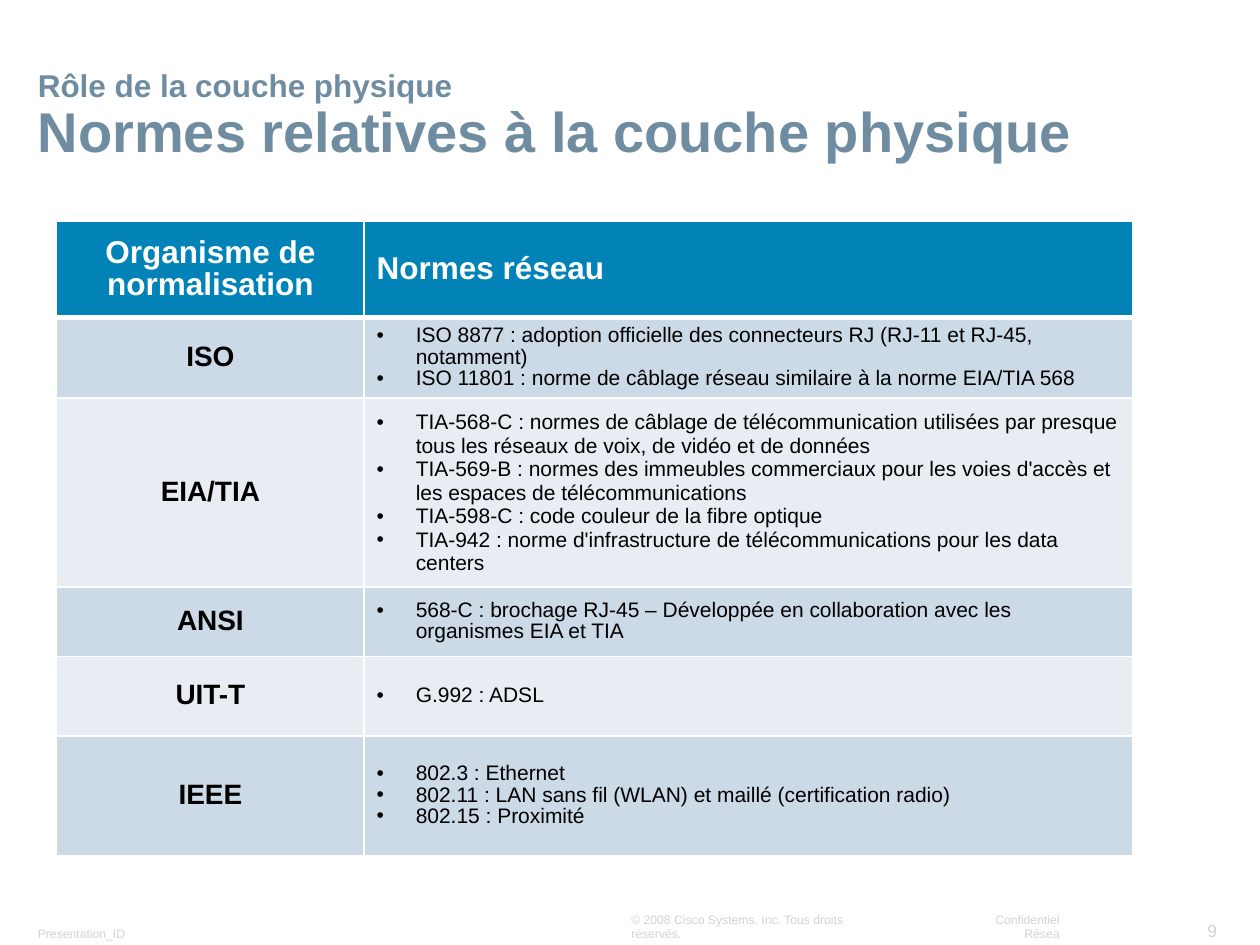
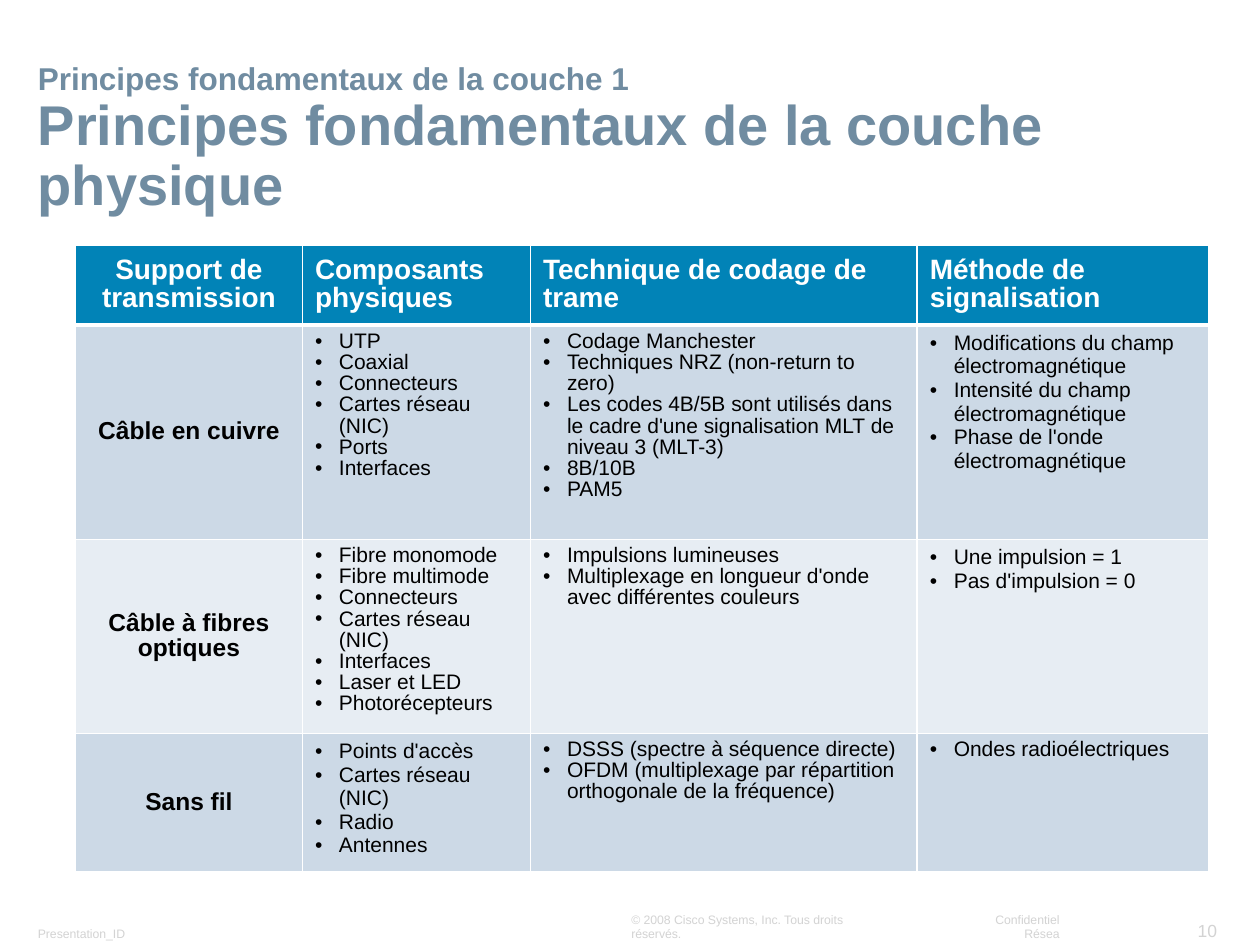
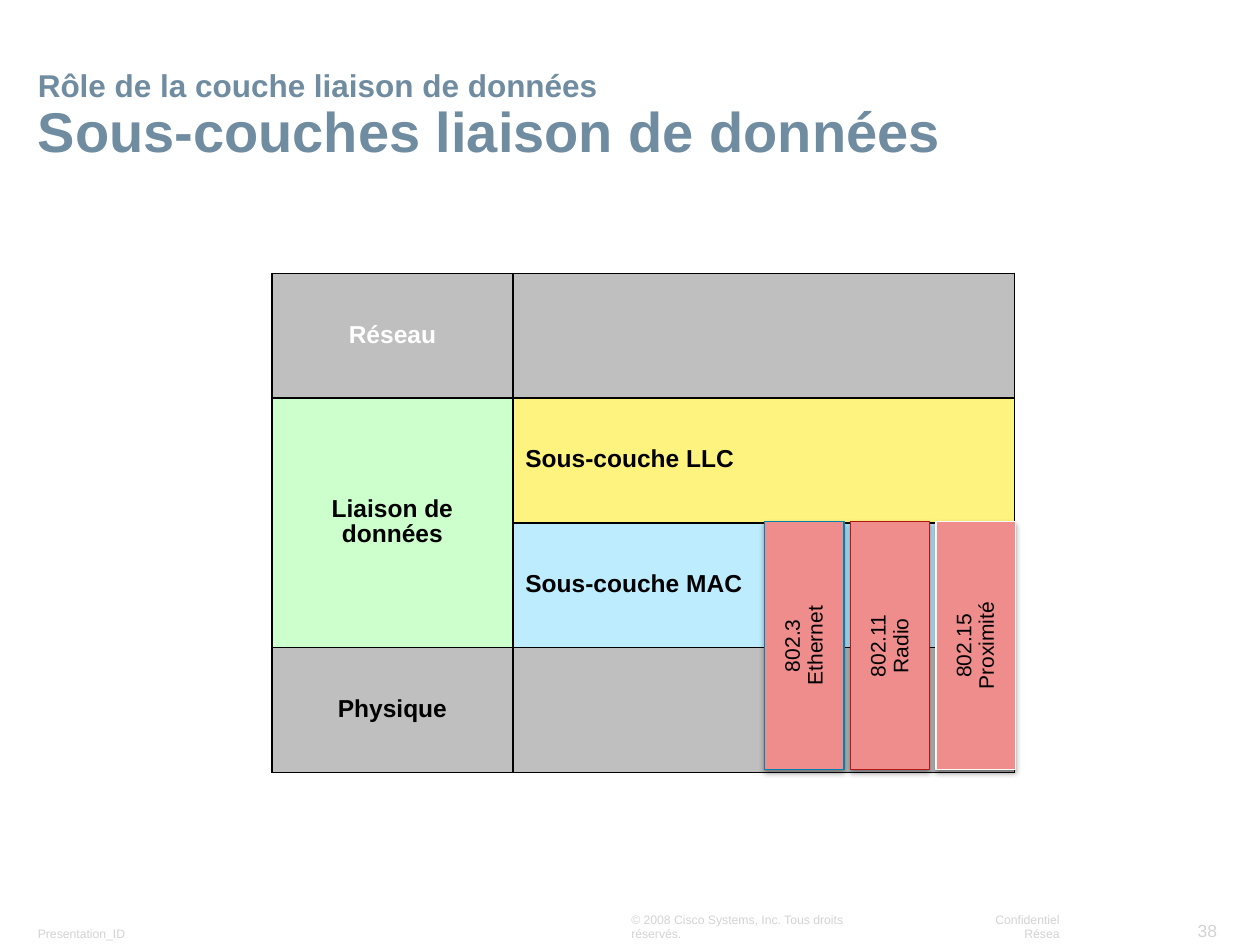
from lxml.etree import SubElement
from pptx import Presentation
from pptx.dml.color import RGBColor
from pptx.enum.shapes import MSO_SHAPE
from pptx.enum.text import MSO_ANCHOR, PP_ALIGN
from pptx.oxml.ns import qn
from pptx.util import Inches, Pt

FONT = "Arial"
WHITE, BLACK = "FFFFFF", "000000"
TITLE_COLOR, FOOTER_COLOR = "708CA1", "D3D3D3"
HEADER, BAND_DARK, BAND_LIGHT = "0183B7", "CCD9E6", "E7EDF3"
GRAY, GREEN, YELLOW, BLUE, RED = "BFBFBF", "CCFFCC", "FFF37F", "BEECFF", "EF8C8C"
TIGHT = 0.9

STANDARDS = [
    ["Organisme de normalisation", "Normes réseau"],
    ["ISO", [
        "ISO 8877 : adoption officielle des connecteurs RJ (RJ-11 et RJ-45, notamment)",
        "ISO 11801 : norme de câblage réseau similaire à la norme EIA/TIA 568"]],
    ["EIA/TIA", [
        "TIA-568-C : normes de câblage de télécommunication utilisées par presque tous "
        "les réseaux de voix, de vidéo et de données",
        "TIA-569-B : normes des immeubles commerciaux pour les voies d'accès et "
        "les espaces de télécommunications",
        "TIA-598-C : code couleur de la fibre optique",
        "TIA-942 : norme d'infrastructure de télécommunications pour les data centers"]],
    ["ANSI", [
        "568-C : brochage RJ-45 – Développée en collaboration avec les organismes EIA et TIA"]],
    ["UIT-T", ["G.992 : ADSL"]],
    ["IEEE", [
        "802.3 : Ethernet",
        "802.11 : LAN sans fil (WLAN) et maillé (certification radio)",
        "802.15 : Proximité"]],
]

MEDIA = [
    ["Support de transmission", "Composants physiques",
     "Technique de codage de trame", "Méthode de signalisation"],
    ["Câble en cuivre",
     ["UTP", "Coaxial", "Connecteurs", "Cartes réseau (NIC)", "Ports", "Interfaces"],
     ["Codage Manchester", "Techniques NRZ (non-return to zero)",
      "Les codes 4B/5B sont utilisés dans le cadre d'une signalisation MLT "
      "de niveau 3 (MLT-3)", "8B/10B", "PAM5"],
     ["Modifications du champ électromagnétique", "Intensité du champ électromagnétique",
      "Phase de l'onde électromagnétique"]],
    ["Câble à fibres optiques",
     ["Fibre monomode", "Fibre multimode", "Connecteurs", "Cartes réseau (NIC)",
      "Interfaces", "Laser et LED", "Photorécepteurs"],
     ["Impulsions lumineuses", "Multiplexage en longueur d'onde avec différentes couleurs"],
     ["Une impulsion = 1", "Pas d'impulsion = 0"]],
    ["Sans fil",
     ["Points d'accès", "Cartes réseau (NIC)", "Radio", "Antennes"],
     ["DSSS (spectre à séquence directe)",
      "OFDM (multiplexage par répartition orthogonale de la fréquence)"],
     ["Ondes radioélectriques"]],
]


def rgb(color):
    return RGBColor.from_string(color)


def format_runs(p, size, color, bold=False):
    for r in p.runs:
        r.font.name = FONT
        r.font.size = Pt(size)
        r.font.bold = bold
        r.font.color.rgb = rgb(color)


def add_text(s, x, y, w, h, text, size, color, align=PP_ALIGN.LEFT, bold=False):
    tf = s.shapes.add_textbox(Inches(x), Inches(y), Inches(w), Inches(h)).text_frame
    tf.word_wrap = align == PP_ALIGN.LEFT
    tf.vertical_anchor = MSO_ANCHOR.BOTTOM
    tf.margin_left = tf.margin_right = Inches(0.09)
    tf.margin_top = tf.margin_bottom = Inches(0.04)
    p = tf.paragraphs[0]
    p.text = text
    p.alignment = align
    format_runs(p, size, color, bold)
    return p


def add_slide(prs, number, section, title, title_top=0.43):
    s = prs.slides.add_slide(prs.slide_layouts[6])
    add_text(s, 0.21, 7.3, 1.05, 0.21, "Presentation_ID", 7, FOOTER_COLOR)
    add_text(s, 9.4, 7.25, 0.35, 0.26, str(number), 10, FOOTER_COLOR, PP_ALIGN.RIGHT)
    add_text(s, 4.92, 7.3, 2.21, 0.21,
             "© 2008 Cisco Systems, Inc. Tous droits réservés.", 7, FOOTER_COLOR)
    add_text(s, 7.54, 7.3, 0.96, 0.21, "Confidentiel Résea", 7, FOOTER_COLOR, PP_ALIGN.RIGHT)
    p = add_text(s, 0.21, title_top, 9.59, 0.92, f"{section}\v{title}", 18, TITLE_COLOR, bold=True)
    p.line_spacing = TIGHT
    p.runs[1].font.size = Pt(32)
    return s


def add_table(s, x, y, widths, heights):
    table = s.shapes.add_table(len(heights), len(widths), Inches(x), Inches(y),
                               Inches(sum(widths)), Inches(sum(heights))).table
    table.first_row = table.horz_banding = False
    for column, width in zip(table.columns, widths):
        column.width = Inches(width)
    for row, height in zip(table.rows, heights):
        row.height = Inches(height)
    return table


def style_cell(cell, fill, border, bottom=1):
    tc_pr = cell._tc.get_or_add_tcPr()
    for side, width in (("L", 1), ("R", 1), ("T", 1), ("B", bottom)):
        ln = SubElement(tc_pr, qn(f"a:ln{side}"), w=str(Pt(width)))
        SubElement(SubElement(ln, qn("a:solidFill")), qn("a:srgbClr"), val=border)
    cell.fill.solid()
    cell.fill.fore_color.rgb = rgb(fill)


def label_cell(cell, text, size, color, centered):
    cell.vertical_anchor = MSO_ANCHOR.MIDDLE
    p = cell.text_frame.paragraphs[0]
    p.text = text
    p.alignment = PP_ALIGN.CENTER if centered else PP_ALIGN.LEFT
    p.line_spacing = TIGHT
    format_runs(p, size, color, True)


def add_bullet(p, indent):
    p_pr = p._p.get_or_add_pPr()
    p_pr.set("marL", str(Inches(indent)))
    p_pr.set("indent", str(-Inches(indent)))
    SubElement(SubElement(p_pr, qn("a:buClr")), qn("a:srgbClr"), val=BLACK)
    SubElement(p_pr, qn("a:buFont"), typeface=FONT)
    SubElement(p_pr, qn("a:buChar"), char="•")


def bullet_cell(cell, items, indent, anchor, spacing):
    cell.vertical_anchor = anchor
    tf = cell.text_frame
    tf.text = "\n".join(items)
    for p in tf.paragraphs:
        add_bullet(p, indent)
        if spacing:
            p.line_spacing = spacing
        format_runs(p, 12, BLACK)


def fill_banded_table(table, rows, header_size, label_size, indent, anchor, loose):
    for i, row in enumerate(rows):
        fill = HEADER if i == 0 else BAND_DARK if i % 2 else BAND_LIGHT
        for j, content in enumerate(row):
            cell = table.cell(i, j)
            style_cell(cell, fill, WHITE, bottom=1 if i else 3)
            if i == 0:
                label_cell(cell, content, header_size, WHITE, j == 0)
            elif j == 0:
                label_cell(cell, content, label_size, BLACK, True)
            else:
                spacing = None if (i, j) in loose else TIGHT
                bullet_cell(cell, content, indent, anchor, spacing)


def fill_layer_table(table):
    fills = [(GRAY, GRAY), (GREEN, YELLOW), (GREEN, BLUE), (GRAY, GRAY)]
    for i, pair in enumerate(fills):
        for j, fill in enumerate(pair):
            style_cell(table.cell(i, j), fill, BLACK)
    table.cell(1, 0).merge(table.cell(2, 0))
    labels = [(0, 0, "Réseau", WHITE), (1, 0, "Liaison de données", BLACK),
              (1, 1, "Sous-couche LLC", BLACK), (2, 1, "Sous-couche MAC", BLACK),
              (3, 0, "Physique", BLACK)]
    for i, j, text, color in labels:
        label_cell(table.cell(i, j), text, 14, color, j == 0)


def add_shadow(sp):
    sp.shadow.inherit = False
    effects = sp._element.spPr.find(qn("a:effectLst"))
    shadow = SubElement(effects, qn("a:outerShdw"), blurRad="40000", dist="20000",
                        dir="5400000", rotWithShape="0")
    color = SubElement(shadow, qn("a:srgbClr"), val=BLACK)
    SubElement(color, qn("a:alpha"), val="38000")


def add_protocol(s, x, standard, name, line):
    sp = s.shapes.add_shape(MSO_SHAPE.RECTANGLE, Inches(x), Inches(4.14),
                            Inches(0.63), Inches(1.97))
    sp.fill.solid()
    sp.fill.fore_color.rgb = rgb(RED)
    sp.line.color.rgb = rgb(line)
    sp.line.width = Pt(0.75)
    add_shadow(sp)
    tf = sp.text_frame
    tf.text = f"{standard}\n{name}"
    tf.word_wrap = True
    tf.vertical_anchor = MSO_ANCHOR.MIDDLE
    tf._txBody.bodyPr.set("vert", "vert270")
    for p in tf.paragraphs:
        p.alignment = PP_ALIGN.CENTER
        p.line_spacing = TIGHT
        format_runs(p, 12, BLACK)


def main():
    prs = Presentation()
    prs.slide_width, prs.slide_height = Inches(10), Inches(7.5)

    s = add_slide(prs, 9, "Rôle de la couche physique", "Normes relatives à la couche physique")
    table = add_table(s, 0.45, 1.76, [2.44, 6.1], [0.76, 0.58, 1.3, 0.55, 0.63, 0.95])
    fill_banded_table(table, STANDARDS, 18, 16, 0.31, MSO_ANCHOR.MIDDLE, {(2, 1)})

    s = add_slide(prs, 10, "Principes fondamentaux de la couche 1",
                  "Principes fondamentaux de la couche physique", 0.85)
    table = add_table(s, 0.6, 1.95, [1.8, 1.81, 3.07, 2.31], [0.63, 1.7, 1.5, 0.9])
    fill_banded_table(table, MEDIA, 16, 14, 0.19, MSO_ANCHOR.TOP, {(1, 3), (2, 3), (3, 1)})

    s = add_slide(prs, 38, "Rôle de la couche liaison de données",
                  "Sous-couches liaison de données")
    fill_layer_table(add_table(s, 2.16, 2.17, [1.91, 3.98], [0.99] * 4))
    protocols = [("802.3", "Ethernet", "0081B4"), ("802.11", "Radio", "B21616"),
                 ("802.15", "Proximité", "F9F9F9")]
    for i, (standard, name, line) in enumerate(protocols):
        add_protocol(s, 6.07 + 0.68 * i, standard, name, line)

    prs.save("out.pptx")


if __name__ == "__main__":
    main()
